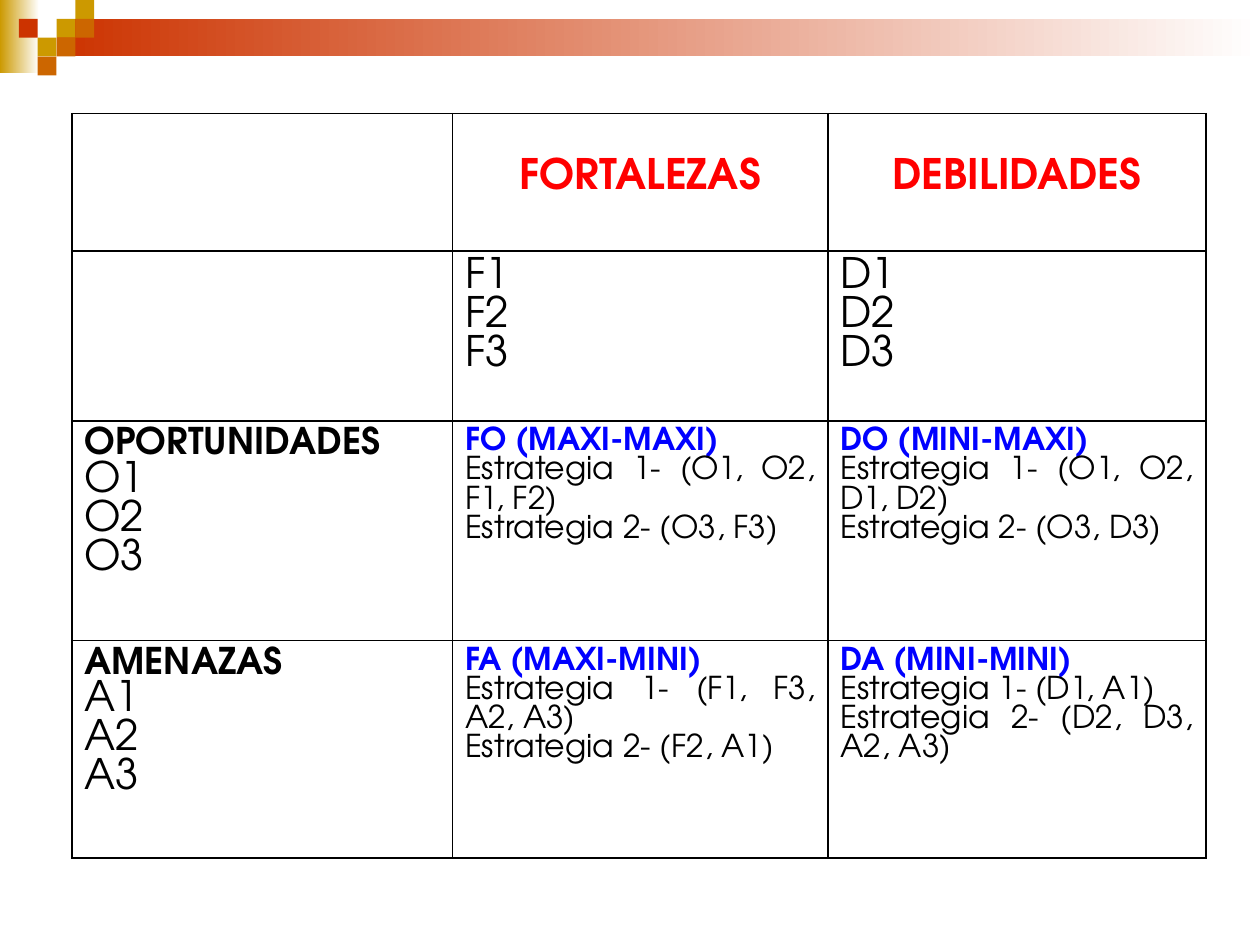
from lxml import etree
from pptx import Presentation
from pptx.dml.color import RGBColor
from pptx.enum.shapes import MSO_SHAPE as Shape
from pptx.enum.text import PP_ALIGN as Align
from pptx.oxml.ns import qn
from pptx.util import Cm, Pt

FONT = "TeX Gyre Adventor"
LINE_RATIO = 0.93  # line pitch as a share of the text size


def rgb(value):
    return RGBColor.from_string(value)


def set_border(cell, side, width):
    line = etree.SubElement(cell._tc.get_or_add_tcPr(), qn(f"a:{side}"), w=str(Pt(width)))
    fill = etree.SubElement(line, qn("a:solidFill"))
    etree.SubElement(fill, qn("a:srgbClr"), val="000000")


prs = Presentation()
prs.slide_width, prs.slide_height = Cm(25.4), Cm(19.05)
slide = prs.slides.add_slide(prs.slide_layouts[6])

# Decorative band: two fading bars, then squares on a grid
UNIT = 0.38
bars = [(0, 0, 0.79, 1.47, "CC9900"), (1.14, 0.38, 24.26, 0.76, "CC3300")]
squares = [(3, 1, "CC9900"), (4, 0, "CC9900"), (4, 1, "CC6600"), (2, 2, "CC9900"),
           (1, 1, "CC3300"), (3, 2, "CC6600"), (2, 3, "CC6600")]
tiles = [(col * UNIT, row * UNIT, UNIT, UNIT, color) for col, row, color in squares]

for index, (left, top, width, height, color) in enumerate(bars + tiles):
    piece = slide.shapes.add_shape(Shape.RECTANGLE, Cm(left), Cm(top), Cm(width), Cm(height))
    piece.shadow.inherit = False
    piece.line.fill.background()
    if index < len(bars):
        piece.fill.gradient()
        piece.fill.gradient_angle = 0
        for stop, stop_color in zip(piece.fill.gradient_stops, (color, "FFFFFF")):
            stop.color.rgb = rgb(stop_color)
    else:
        piece.fill.solid()
        piece.fill.fore_color.rgb = rgb(color)

# Text formats: alignment, colour and font values
header = (Align.CENTER, "FF0000", {"size": Pt(24), "bold": True})
factor = (Align.LEFT, "000000", {"size": Pt(21), "bold": True})
item = (Align.LEFT, "000000", {"size": Pt(24), "bold": False})
quadrant = (Align.JUSTIFY, "0000FF", {"size": Pt(18), "bold": True})
strategy = (Align.JUSTIFY, "000000", {"size": Pt(18), "bold": False})

# Each cell: format of the first line, format of the others, lines
swot = [
    [None,
     (header, header, ["FORTALEZAS"]),
     (header, header, ["DEBILIDADES"])],
    [None,
     (item, item, ["F1", "F2", "F3"]),
     (item, item, ["D1", "D2", "D3"])],
    [(factor, item, ["OPORTUNIDADES", "O1", "O2", "O3"]),
     (quadrant, strategy, ["FO (MAXI-MAXI)", "Estrategia 1- (O1, O2, F1, F2)",
                           "Estrategia 2- (O3, F3)"]),
     (quadrant, strategy, ["DO (MINI-MAXI)", "Estrategia 1- (O1, O2, D1, D2)",
                           "Estrategia 2- (O3, D3)"])],
    [(factor, item, ["AMENAZAS", "A1", "A2", "A3"]),
     (quadrant, strategy, ["FA (MAXI-MINI)", "Estrategia 1- (F1, F3, A2, A3)",
                           "Estrategia 2- (F2, A1)"]),
     (quadrant, strategy, ["DA (MINI-MINI)", "Estrategia 1- (D1, A1)",
                           "Estrategia 2- (D2, D3, A2, A3)"])],
]

# Matrix grid
col_widths = [7.67, 7.57, 7.62]
row_heights = [2.77, 3.43, 4.42, 4.39]
matrix = slide.shapes.add_table(len(row_heights), len(col_widths), Cm(1.45), Cm(2.29),
                                Cm(sum(col_widths)), Cm(sum(row_heights))).table
matrix.first_row = matrix.horz_banding = False
for column, width in zip(matrix.columns, col_widths):
    column.width = Cm(width)
for row, height in zip(matrix.rows, row_heights):
    row.height = Cm(height)

# Matrix cells
for r, row_content in enumerate(swot):
    for c, content in enumerate(row_content):
        cell = matrix.cell(r, c)
        if r == 0:
            cell.margin_top = Cm(0.9)
        for side in ("lnL", "lnR", "lnT", "lnB"):
            thin = (r, side) in ((0, "lnB"), (1, "lnT"))
            set_border(cell, side, 0.75 if thin else 1)
        cell.fill.background()
        if content is None:
            continue
        first, others, lines = content
        cell.text_frame.text = "\n".join(lines)
        for n, paragraph in enumerate(cell.text_frame.paragraphs):
            align, color, font_values = others if n else first
            paragraph.alignment = align
            paragraph.line_spacing = Pt(round(font_values["size"].pt * LINE_RATIO, 1))
            font = paragraph.runs[0].font
            font.name = FONT
            font.color.rgb = rgb(color)
            for name, value in font_values.items():
                setattr(font, name, value)

prs.save("out.pptx")
